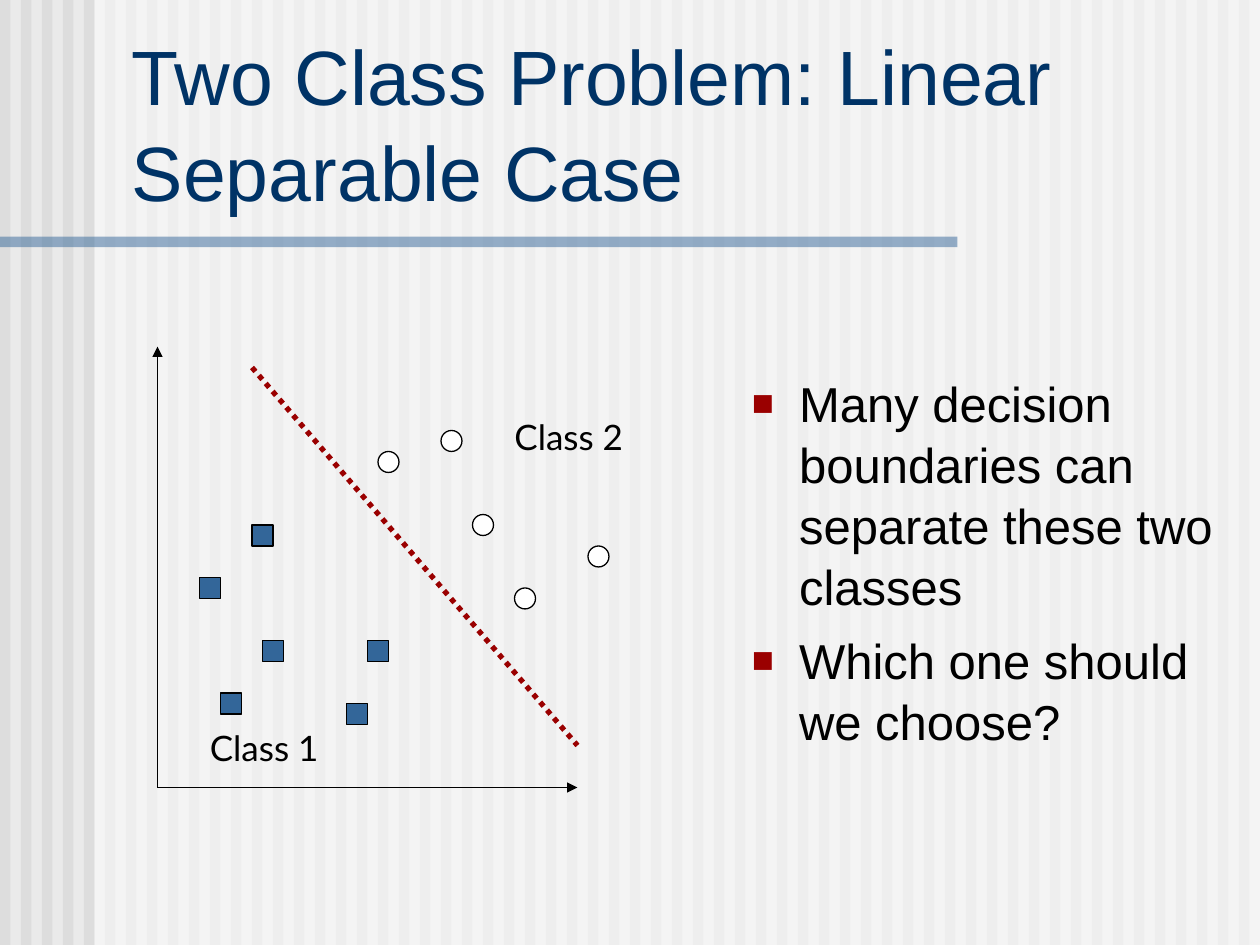
import pptx
import pptx.dml.color
import pptx.enum.dml
import pptx.enum.shapes
import pptx.enum.text
import pptx.oxml
import pptx.oxml.ns
import pptx.util

Cm = pptx.util.Cm
Pt = pptx.util.Pt
RGBColor = pptx.dml.color.RGBColor
MSO_SHAPE = pptx.enum.shapes.MSO_SHAPE

BACKGROUND = RGBColor(0xEA, 0xEA, 0xEA)
STRIPE = RGBColor(0xDD, 0xDD, 0xDD)
WHITE = RGBColor(0xFF, 0xFF, 0xFF)
BLACK = RGBColor(0, 0, 0)
BLUE = RGBColor(0x33, 0x66, 0x99)
NAVY = RGBColor(0x00, 0x33, 0x66)
RED = RGBColor(0x9A, 0x00, 0x00)

GRID_CM = 2.54 / 12
CLASS_1 = [(19, 55), (35, 61), (33, 67), (25, 61), (21, 66), (24, 50)]
CLASS_2 = [(42, 41), (45, 49), (56, 52), (36, 43), (49, 56)]
BULLETS = [
    "Many decision boundaries can separate these two classes",
    "Which one should we choose?",
]


def grid(n):
    return Cm(n * GRID_CM)


def add_element(parent, tag, **attributes):
    element = pptx.oxml.parse_xml(f"<a:{tag} {pptx.oxml.ns.nsdecls('a')}/>")
    for name, value in attributes.items():
        element.set(name, value)
    parent.append(element)
    return element


def add_shape(shapes, kind, left, top, width, height, fill, alpha=None, outlined=False):
    sp = shapes.add_shape(kind, left, top, width, height)
    sp.shadow.inherit = False
    sp.fill.solid()
    sp.fill.fore_color.rgb = fill
    if alpha is not None:
        color = sp.fill._xPr.find(".//" + pptx.oxml.ns.qn("a:srgbClr"))
        add_element(color, "alpha", val=str(alpha * 1000))
    if outlined:
        sp.line.color.rgb = BLACK
        sp.line.width = Pt(0.75)
    else:
        sp.line.fill.background()
    return sp


def add_line(s, start, end, color, width, dash=None, arrow=False):
    line = s.shapes.add_connector(
        pptx.enum.shapes.MSO_CONNECTOR.STRAIGHT,
        grid(start[0]), grid(start[1]), grid(end[0]), grid(end[1]),
    )
    line.line.color.rgb = color
    line.line.width = Pt(width)
    if dash is not None:
        line.line.dash_style = dash
    if arrow:
        add_element(line.line._get_or_add_ln(), "tailEnd", type="triangle")
    add_element(line._element.spPr, "effectLst")


def add_text(s, left, top, width, height, paragraphs, font, size, color,
             wrap=True, spacing=None, bullets=False):
    tf = s.shapes.add_textbox(Cm(left), Cm(top), Cm(width), Cm(height)).text_frame
    tf.word_wrap = wrap
    for i, text in enumerate(paragraphs):
        p = tf.paragraphs[0] if i == 0 else tf.add_paragraph()
        if spacing:
            p.line_spacing = spacing
        if i > 0:
            p.space_before = Pt(7)
        if bullets:
            add_bullet(p)
        r = p.add_run()
        r.text = text
        r.font.name = font
        r.font.size = Pt(size)
        r.font.color.rgb = color
    return tf


def add_bullet(p):
    pPr = p._p.get_or_add_pPr()
    indent = Cm(0.95)
    pPr.set("marL", str(indent))
    pPr.set("indent", str(-indent))
    color = add_element(pPr, "buClr")
    add_element(color, "srgbClr", val=str(RED))
    add_element(pPr, "buSzPct", val="75000")
    add_element(pPr, "buFont", typeface="Arial")
    add_element(pPr, "buChar", char="■")


def add_backdrop(s):
    s.background.fill.solid()
    s.background.fill.fore_color.rgb = BACKGROUND
    group = s.shapes.add_group_shape()
    for column in range(0, 120, 2):
        add_shape(group.shapes, MSO_SHAPE.RECTANGLE,
                  grid(column), 0, grid(1), grid(90), STRIPE)
    add_shape(group.shapes, MSO_SHAPE.RECTANGLE,
              grid(9), 0, grid(111), grid(90), WHITE, alpha=50)
    add_shape(group.shapes, MSO_SHAPE.RECTANGLE,
              0, Cm(4.77), Cm(19.3), grid(1), BLUE, alpha=50)


def add_points(s, kind, points, fill):
    for x, y in points:
        add_shape(s.shapes, kind, grid(x), grid(y), grid(2), grid(2),
                  fill, outlined=True)


def add_diagram(s):
    origin = (15, 75)
    for end in [(15, 33), (55, 75)]:
        add_line(s, origin, end, BLACK, 1, arrow=True)
    add_points(s, MSO_SHAPE.OVAL, CLASS_2, WHITE)
    add_points(s, MSO_SHAPE.RECTANGLE, CLASS_1, BLUE)
    for text, left, top in [("Class 1", 3.98, 14.52), ("Class 2", 10.12, 8.25)]:
        add_text(s, left, top, 2.8, 1.11, [text], "Lato", 20, BLACK, wrap=False)
    add_line(s, (24, 35), (55, 71), RED, 3,
             dash=pptx.enum.dml.MSO_LINE.ROUND_DOT)


def main():
    prs = pptx.Presentation()
    prs.slide_width = Cm(25.4)
    prs.slide_height = Cm(19.05)
    s = prs.slides.add_slide(prs.slide_layouts[6])
    add_backdrop(s)
    title = add_text(s, 2.41, 1.47, 22.68, 3.02,
                     ["Two Class Problem: Linear Separable Case"],
                     "Arial", 44, NAVY, spacing=1.04)
    title.vertical_anchor = pptx.enum.text.MSO_ANCHOR.BOTTOM
    add_diagram(s)
    add_text(s, 14.91, 7.35, 10.13, 8.9, BULLETS, "Arial", 28, BLACK,
             spacing=1.04, bullets=True)
    prs.save("out.pptx")


if __name__ == "__main__":
    main()
